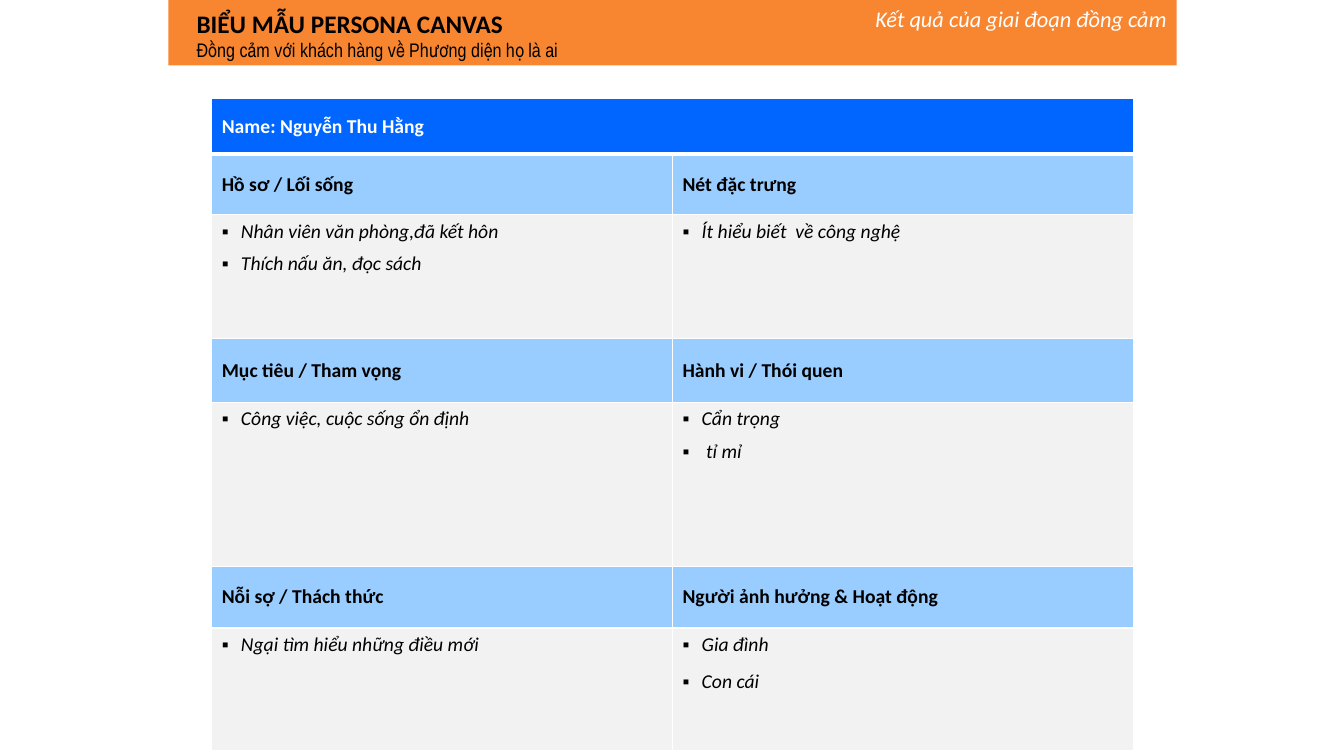
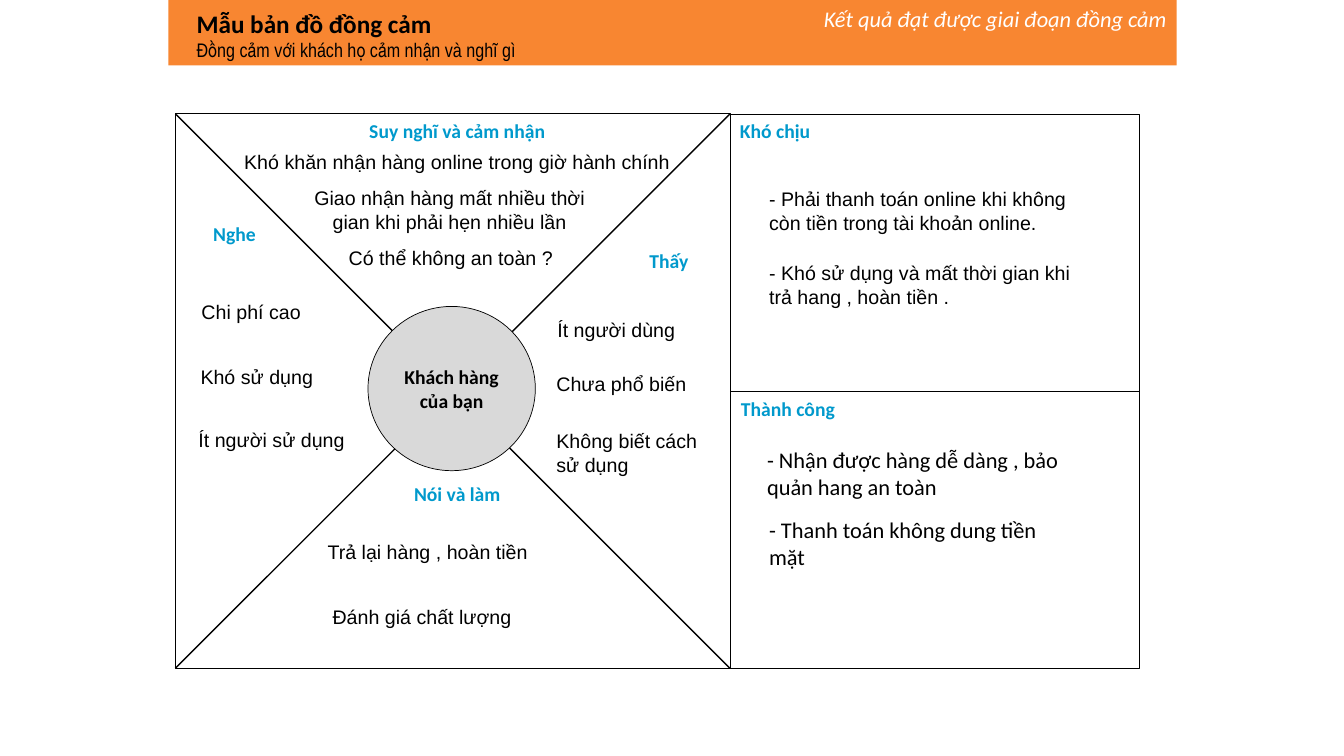
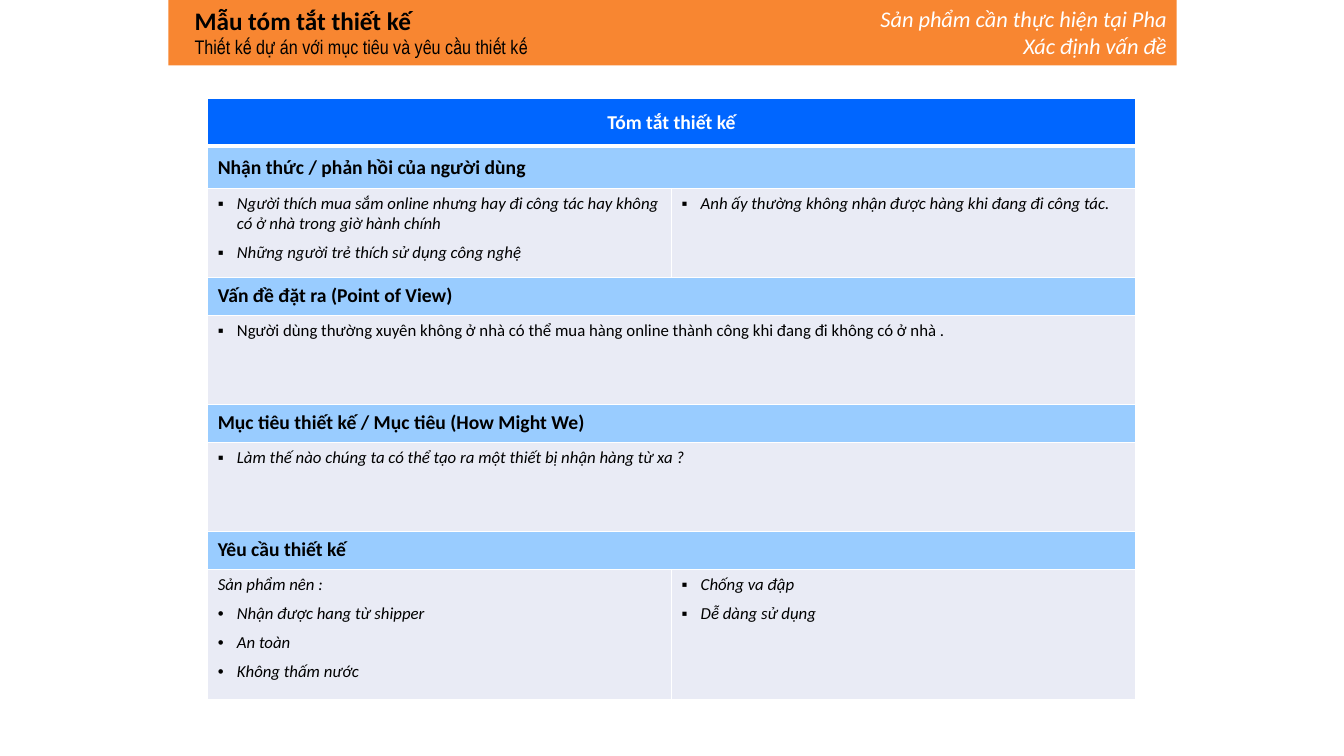
"""Three design-thinking slides: persona canvas, empathy map and design brief."""
from lxml import etree
from pptx import Presentation
from pptx import util as u
from pptx.dml.color import RGBColor
from pptx.enum import shapes, text
from pptx.oxml import ns

PX = 9144
COLORS = {
    "band": "F88631", "header": "0066FF", "section": "99CCFF",
    "gray": "F2F2F2", "lavender": "E9EBF5", "circle": "D9D9D9",
    "label": "0099CC", "black": "000000", "white": "FFFFFF",
}
ALIGN = {"l": text.PP_ALIGN.LEFT, "c": text.PP_ALIGN.CENTER, "r": text.PP_ALIGN.RIGHT}
TOP, MIDDLE = text.MSO_ANCHOR.TOP, text.MSO_ANCHOR.MIDDLE


def px(*values):
    """Turn px lengths into EMU."""
    return [u.Emu(v * PX) for v in values]


def rgb(name):
    """Look up a named colour."""
    return RGBColor.from_string(COLORS[name])


def add_bullet(p, char):
    """Give a paragraph a hanging bullet."""
    pPr = p._p.get_or_add_pPr()
    indent = 19 * PX
    pPr.set("marL", str(indent))
    pPr.set("indent", str(-indent))
    etree.SubElement(pPr, ns.qn("a:buFont")).set("typeface", "Arial")
    etree.SubElement(pPr, ns.qn("a:buChar")).set("char", char)


def write(p, content, size=14, font="Calibri", color="black", bold=False,
          italic=False, align="l", bullet=None, before=0, after=0):
    """Write one formatted paragraph."""
    if bullet:
        add_bullet(p, bullet)
    p.alignment = ALIGN[align]
    p.space_before, p.space_after = u.Pt(before), u.Pt(after)
    r = p.add_run()
    r.text = content
    f = r.font
    f.size, f.name, f.bold, f.italic = u.Pt(size), font, bold, italic
    f.color.rgb = rgb(color)


def fill_text(tf, items, **fmt):
    """Write strings, or (string, overrides) pairs, as paragraphs."""
    for i, item in enumerate(items):
        content, extra = (item, {}) if isinstance(item, str) else item
        p = tf.add_paragraph() if i else tf.paragraphs[0]
        write(p, content, **{**fmt, **extra})


def set_borders(cell, top, bottom):
    """Draw white borders around a cell."""
    tcPr = cell._tc.get_or_add_tcPr()
    for side, width in (("L", 1), ("R", 1), ("T", top), ("B", bottom)):
        ln = etree.SubElement(tcPr, ns.qn("a:ln" + side), w=str(u.Pt(width)))
        fill = etree.SubElement(ln, ns.qn("a:solidFill"))
        etree.SubElement(fill, ns.qn("a:srgbClr"), val=COLORS["white"])


class Deck:
    """Hold the presentation, its style and the current slide."""

    def __init__(self):
        """Start an empty wide presentation."""
        self.prs = Presentation()
        self.prs.slide_width, self.prs.slide_height = u.Inches(13.33), u.Inches(7.5)
        self.s = None

    def slide(self, title, subtitle, note, title_at=(185, 3), note_left=796):
        """Add a slide with its band, title and note."""
        self.s = self.prs.slides.add_slide(self.prs.slide_layouts[5])
        sp = self.s.shapes.title
        band = self.shape("RECTANGLE", 167, 0, 1000, 65, fill="band")
        sp._element.addprevious(band._element)
        sp.left, sp.top, sp.width, sp.height = px(*title_at, 612, 64)
        tf = sp.text_frame
        tf.word_wrap, tf.vertical_anchor = True, TOP
        tf.auto_size = text.MSO_AUTO_SIZE.NONE
        fill_text(tf, [(title, dict(size=18, bold=True)),
                       (subtitle, dict(font="Arial Narrow"))])
        self.text(note, note_left, 0, 1167 - note_left, 64,
                  size=16, color="white", italic=True, align="r")

    def shape(self, kind, x, y, w, h, fill=None, line=None):
        """Add a preset shape."""
        sp = self.s.shapes.add_shape(shapes.MSO_SHAPE[kind], *px(x, y, w, h))
        sp.shadow.inherit = False
        if fill:
            sp.fill.solid()
            sp.fill.fore_color.rgb = rgb(fill)
        else:
            sp.fill.background()
        if line:
            sp.line.color.rgb = rgb(line)
            sp.line.width = u.Pt(0.5)
        else:
            sp.line.fill.background()
        return sp

    def text(self, content, x, y, w, h=34, **fmt):
        """Add a wrapped text box."""
        tf = self.s.shapes.add_textbox(*px(x, y, w, h)).text_frame
        tf.word_wrap = True
        fill_text(tf, [content], **fmt)

    def line(self, x1, y1, x2, y2):
        """Add a thin black straight line."""
        c = self.s.shapes.add_connector(shapes.MSO_CONNECTOR.STRAIGHT, *px(x1, y1, x2, y2))
        c.line.color.rgb = rgb("black")
        c.line.width = u.Pt(1)
        etree.SubElement(c._element.spPr, ns.qn("a:effectLst"))

    def table(self, x, y, width, rows, styles):
        """Add a two-column table; a row with one cell spans both columns."""
        height = sum(row[0] for row in rows)
        frame = self.s.shapes.add_table(len(rows), 2, *px(x, y, width, height))
        tbl = frame.table
        tbl.first_row = tbl.horz_banding = False
        for i, (row_height, kind, *cells) in enumerate(rows):
            tbl.rows[i].height = px(row_height)[0]
            fill, anchor, fmt = styles[kind]
            for j in range(2):
                cell = tbl.cell(i, j)
                set_borders(cell, 3 if i == 1 else 1, 3 if i == 0 else 1)
                cell.fill.solid()
                cell.fill.fore_color.rgb = rgb(fill)
                cell.vertical_anchor = anchor
            if len(cells) == 1:
                tbl.cell(i, 0).merge(tbl.cell(i, 1))
            for j, items in enumerate(cells):
                fill_text(tbl.cell(i, j).text_frame, items, **fmt)


def table_styles(body_fill, body_size, header_align):
    """Give the fill, anchor and text format of each kind of row."""
    return {
        "header": ("header", MIDDLE, dict(color="white", bold=True, align=header_align)),
        "section": ("section", MIDDLE, dict(bold=True)),
        "body": (body_fill, TOP, dict(size=body_size, italic=True, bullet="▪", after=6)),
    }


def persona(deck):
    """Build the persona canvas."""
    deck.slide("BIỂU MẪU PERSONA CANVAS", "Đồng cảm với khách hàng về Phương diện họ là ai",
               "Kết quả của giai đoạn đồng cảm")
    deck.table(210, 98, 914, [
        (55, "header", ["Name: Nguyễn Thu Hằng"]),
        (60, "section", ["Hồ sơ / Lối sống"], ["Nét đặc trưng"]),
        (123, "body", ["Nhân viên văn phòng,đã kết hôn", "Thích nấu ăn, đọc sách"],
         ["Ít hiểu biết  về công nghệ"]),
        (63, "section", ["Mục tiêu / Tham vọng"], ["Hành vi / Thói quen"]),
        (163, "body", ["Công việc, cuộc sống ổn định"], ["Cẩn trọng", " tỉ mỉ"]),
        (61, "section", ["Nỗi sợ / Thách thức"], ["Người ảnh hưởng & Hoạt động"]),
        (122, "body", ["Ngại tìm hiểu những điều mới"],
         ["Gia đình", ("Con cái", dict(before=3))]),
    ], table_styles("gray", 14, "l"))


def empathy_map(deck):
    """Build the empathy map."""
    deck.slide("Mẫu bản đồ đồng cảm", "Đồng cảm với khách họ cảm nhận và nghĩ gì",
               "Kết quả đạt được giai đoạn đồng cảm")
    left, top, side, right_width = 174, 113, 550, 406
    middle, right, bottom = top + side // 2, left + side, top + side
    deck.shape("RECTANGLE", left, top, side, side, line="black")
    for y in (top, middle):
        deck.shape("RECTANGLE", right, y, right_width, side // 2, line="black")
    deck.line(right, top, left, bottom)
    deck.line(right, bottom, left, top)
    customer = deck.shape("OVAL", 365, 304, 166, 163, fill="circle", line="black")
    tf = customer.text_frame
    tf.word_wrap, tf.vertical_anchor = True, MIDDLE
    fill_text(tf, ["Khách hàng của bạn"], bold=True, align="c")

    for label, x, y, w, align in (
        ("Khó chịu", 724, 113, 269, "l"),
        ("Thành công", 725, 389, 269, "l"),
        ("Suy nghĩ và cảm nhận", 319, 113, 269, "c"),
        ("Nói và làm", 319, 473, 269, "c"),
        ("Nghe", 190, 215, 85, "c"),
        ("Thấy", 623, 242, 81, "c"),
    ):
        deck.text(label, x, y, w, color="label", bold=True, align=align)

    for thought, x, y, w, align in (
        ("Khó khăn nhận hàng online trong giờ hành chính", 228, 144, 451, "c"),
        ("Giao nhận hàng mất nhiều thời gian khi phải hẹn nhiều lần", 299, 180, 294, "c"),
        ("Có thể không an toàn ?", 336, 239, 225, "l"),
        ("Trả lại hàng , hoàn tiền", 315, 531, 229, "l"),
        ("Đánh giá chất lượng", 320, 595, 232, "l"),
        ("Ít người dùng", 543, 310, 143, "l"),
        ("Chưa phổ biến", 542, 364, 163, "l"),
        ("Không biết cách sử dụng", 542, 421, 163, "l"),
        ("Chi phí cao", 190, 293, 186, "l"),
        ("Khó sử dụng", 189, 357, 169, "l"),
        ("Ít người sử dụng", 187, 420, 175, "l"),
        ("- Phải thanh toán online khi không còn tiền trong tài khoản online.",
         753, 181, 346, "l"),
        ("- Khó sử dụng và mất thời gian khi trả hang , hoàn tiền .", 753, 254, 325, "l"),
    ):
        deck.text(thought, x, y, w, font="Arial", align=align)

    deck.text("- Nhận được hàng dễ dàng , bảo quản hang an toàn", 751, 438, 327, 64, size=16)
    deck.text("- Thanh toán không dung tiền mặt", 753, 507, 292, 64, size=16)


def design_brief(deck):
    """Build the design brief."""
    deck.slide("Mẫu tóm tắt thiết kế", "Thiết kế dự án với mục tiêu và yêu cầu thiết kế",
               "Sản phẩm cần thực hiện tại Pha Xác định vấn đề",
               title_at=(183, 0), note_left=854)
    dot = dict(bullet="•")
    deck.table(206, 98, 920, [
        (47, "header", ["Tóm tắt thiết kế"]),
        (42, "section", ["Nhận thức / phản hồi của người dùng"]),
        (88, "body", ["Người thích mua sắm online nhưng hay đi công tác hay không "
                      "có ở nhà trong giờ hành chính",
                      "Những người trẻ thích sử dụng công nghệ"],
         ["Anh ấy thường không nhận được hàng khi đang đi công tác."]),
        (38, "section", ["Vấn đề đặt ra (Point of View)"]),
        (88, "body", [("Người dùng thường xuyên không ở nhà có thể mua hàng online "
                       "thành công khi đang đi không có ở nhà .", dict(italic=False))]),
        (38, "section", ["Mục tiêu thiết kế / Mục tiêu (How Might We)"]),
        (88, "body", ["Làm thế nào chúng ta có thể tạo ra một thiết bị nhận hàng từ xa ?"]),
        (38, "section", ["Yêu cầu thiết kế"]),
        (129, "body", [("Sản phẩm nên :", dict(bullet=None)),
                       ("Nhận được hang từ shipper", dot),
                       ("An toàn", dot), ("Không thấm nước", dot)],
         ["Chống va đập", "Dễ dàng sử dụng"]),
    ], table_styles("lavender", 12, "c"))


def main():
    """Build and save the deck."""
    deck = Deck()
    persona(deck)
    empathy_map(deck)
    design_brief(deck)
    deck.prs.save("out.pptx")


if __name__ == "__main__":
    main()
